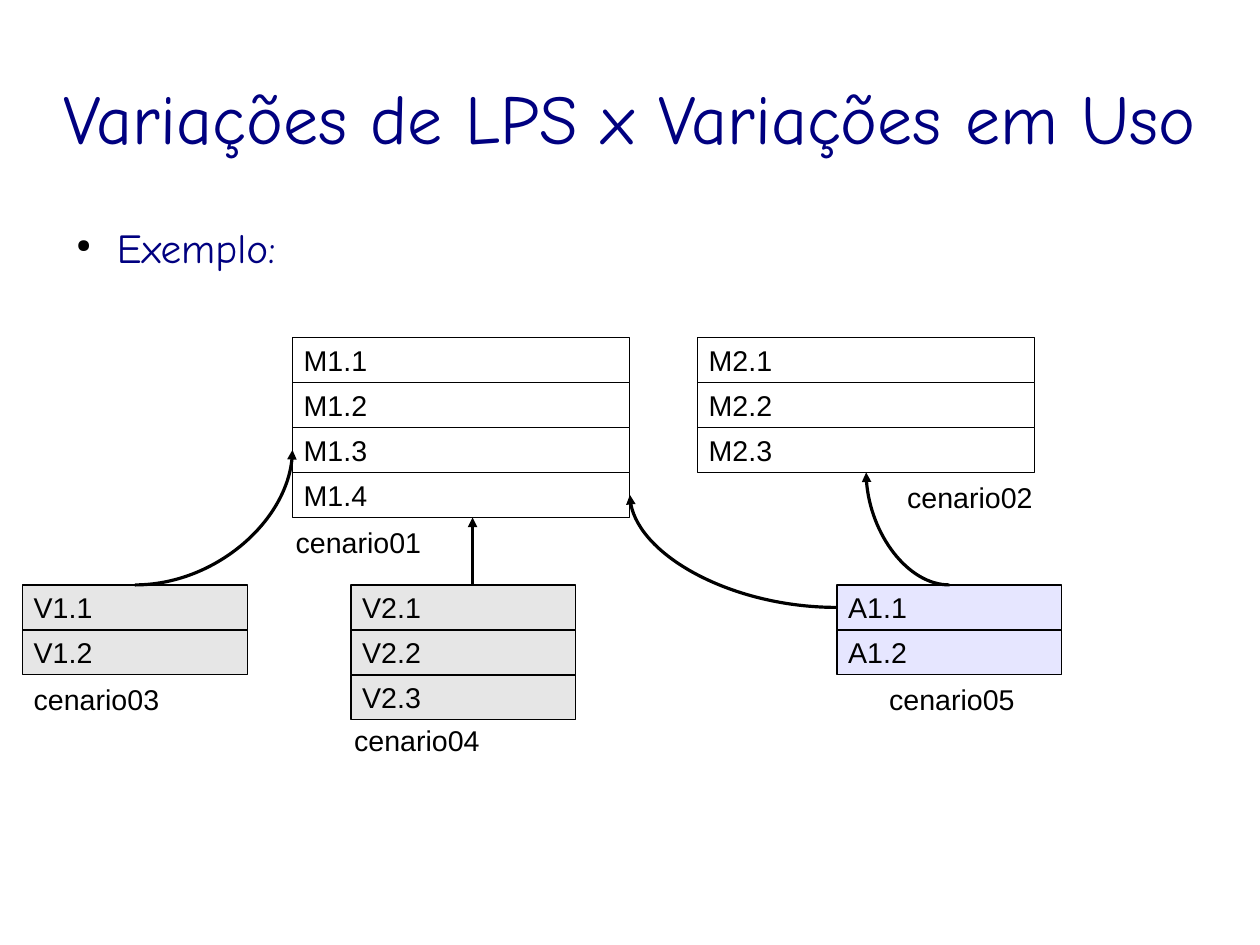
"""Builds the slide on product-line variations versus variations in use."""
from lxml import etree
from pptx import Presentation
from pptx.dml.color import RGBColor
from pptx.enum.shapes import MSO_CONNECTOR, MSO_SHAPE
from pptx.enum.text import MSO_ANCHOR, MSO_AUTO_SIZE, PP_ALIGN
from pptx.oxml.ns import qn
from pptx.util import Cm, Pt

RECTANGLE = MSO_SHAPE.RECTANGLE
STRAIGHT, CURVE = MSO_CONNECTOR.STRAIGHT, MSO_CONNECTOR.CURVE
MIDDLE, TOP = MSO_ANCHOR.MIDDLE, MSO_ANCHOR.TOP
CENTER, LEFT = PP_ALIGN.CENTER, PP_ALIGN.LEFT
NO_AUTOSIZE = MSO_AUTO_SIZE.NONE

COLORS = {"navy": "000080", "black": "000000", "white": "FFFFFF",
          "gray": "E6E6E6", "lavender": "E6E6FF"}
TITLE = "Variações de LPS x Variações em Uso"
BULLET = "Exemplo:"
TITLE_FONT, BODY_FONT = "Comic Neue", "Arial"
ROW_HEIGHT = 1

# name, label position, stack left, top, width, fill, rows
SCENARIOS = [
    ("cenario01", (6.32, 11.53), (6.5, 7.5, 7.5), "white", ["M1.1", "M1.2", "M1.3", "M1.4"]),
    ("cenario02", (19.91, 10.54), (15.5, 7.5, 7.5), "white", ["M2.1", "M2.2", "M2.3"]),
    ("cenario03", (0.5, 15.03), (0.5, 13, 5), "gray", ["V1.1", "V1.2"]),
    ("cenario04", (7.62, 15.93), (7.8, 13, 5), "gray", ["V2.1", "V2.2", "V2.3"]),
    ("cenario05", (19.51, 15.03), (18.6, 13, 5), "lavender", ["A1.1", "A1.2"]),
]
ARROWS = [
    (CURVE, (3, 13), (6.5, 10)),
    (STRAIGHT, (10.5, 13), (10.5, 11.5)),
    (CURVE, (18.6, 13.5), (14, 11)),
    (CURVE, (21.1, 13), (19.25, 10.5)),
]


def rgb(name):
    return RGBColor.from_string(COLORS[name])


def write(shape, text, font, size, color, anchor=MIDDLE, align=LEFT, margins=(0.25, 0.13), wrap=True):
    frame = shape.text_frame
    frame.text = text
    frame.auto_size = NO_AUTOSIZE
    frame.word_wrap = wrap
    frame.vertical_anchor = anchor
    frame.margin_left = frame.margin_right = Cm(margins[0])
    frame.margin_top = frame.margin_bottom = Cm(margins[1])
    paragraph = frame.paragraphs[0]
    paragraph.alignment = align
    run = paragraph.runs[0]
    run.font.name = font
    run.font.size = Pt(size)
    run.font.color.rgb = rgb(color)
    return paragraph


def add_title(slide):
    title = slide.shapes.title
    title.left, title.top, title.width, title.height = Cm(1.4), Cm(0.43), Cm(25.2), Cm(4.34)
    write(title, TITLE, TITLE_FONT, 44, "navy", align=CENTER, margins=(0, 0))


def add_bullet(slide):
    box = slide.shapes.add_textbox(Cm(1.4), Cm(4.93), Cm(25.2), Cm(2.08))
    paragraph = write(box, BULLET, TITLE_FONT, 26, "navy", anchor=TOP, margins=(0, 0))
    paragraph.space_after = Pt(14.2)
    properties = paragraph._p.get_or_add_pPr()
    properties.set("marL", str(Cm(1.2)))
    properties.set("indent", str(Cm(-0.9)))
    color = etree.SubElement(properties, qn("a:buClr"))
    etree.SubElement(color, qn("a:srgbClr"), val=COLORS["black"])
    etree.SubElement(properties, qn("a:buSzPct"), val="45000")
    etree.SubElement(properties, qn("a:buChar"), char="●")


def add_scenario(slide, name, label_position, stack, fill, rows):
    left, top, width = stack
    for index, text in enumerate(rows):
        row = slide.shapes.add_shape(RECTANGLE, Cm(left), Cm(top + index * ROW_HEIGHT),
                                     Cm(width), Cm(ROW_HEIGHT))
        row.shadow.inherit = False
        row.fill.solid()
        row.fill.fore_color.rgb = rgb(fill)
        row.line.color.rgb = rgb("black")
        row.line.width = Pt(0)
        write(row, text, BODY_FONT, 18, "black")
    label_left, label_top = label_position
    label = slide.shapes.add_textbox(Cm(label_left), Cm(label_top), Cm(3.3), Cm(0.97))
    write(label, name, BODY_FONT, 18, "black", anchor=TOP, wrap=False)


def add_arrow(slide, kind, start, end):
    arrow = slide.shapes.add_connector(kind, *map(Cm, start + end))
    arrow.line.color.rgb = rgb("black")
    arrow.line.width = Pt(0)
    properties = arrow._element.spPr
    if kind == CURVE:
        properties.find(qn("a:prstGeom")).set("prst", "curvedConnector2")
    etree.SubElement(properties.find(qn("a:ln")), qn("a:tailEnd"), type="triangle")
    etree.SubElement(properties, qn("a:effectLst"))


def main():
    presentation = Presentation()
    presentation.slide_width, presentation.slide_height = Cm(28), Cm(21)
    slide = presentation.slides.add_slide(presentation.slide_layouts[5])
    add_title(slide)
    add_bullet(slide)
    for scenario in SCENARIOS:
        add_scenario(slide, *scenario)
    for arrow in ARROWS:
        add_arrow(slide, *arrow)
    presentation.save("out.pptx")


if __name__ == "__main__":
    main()
